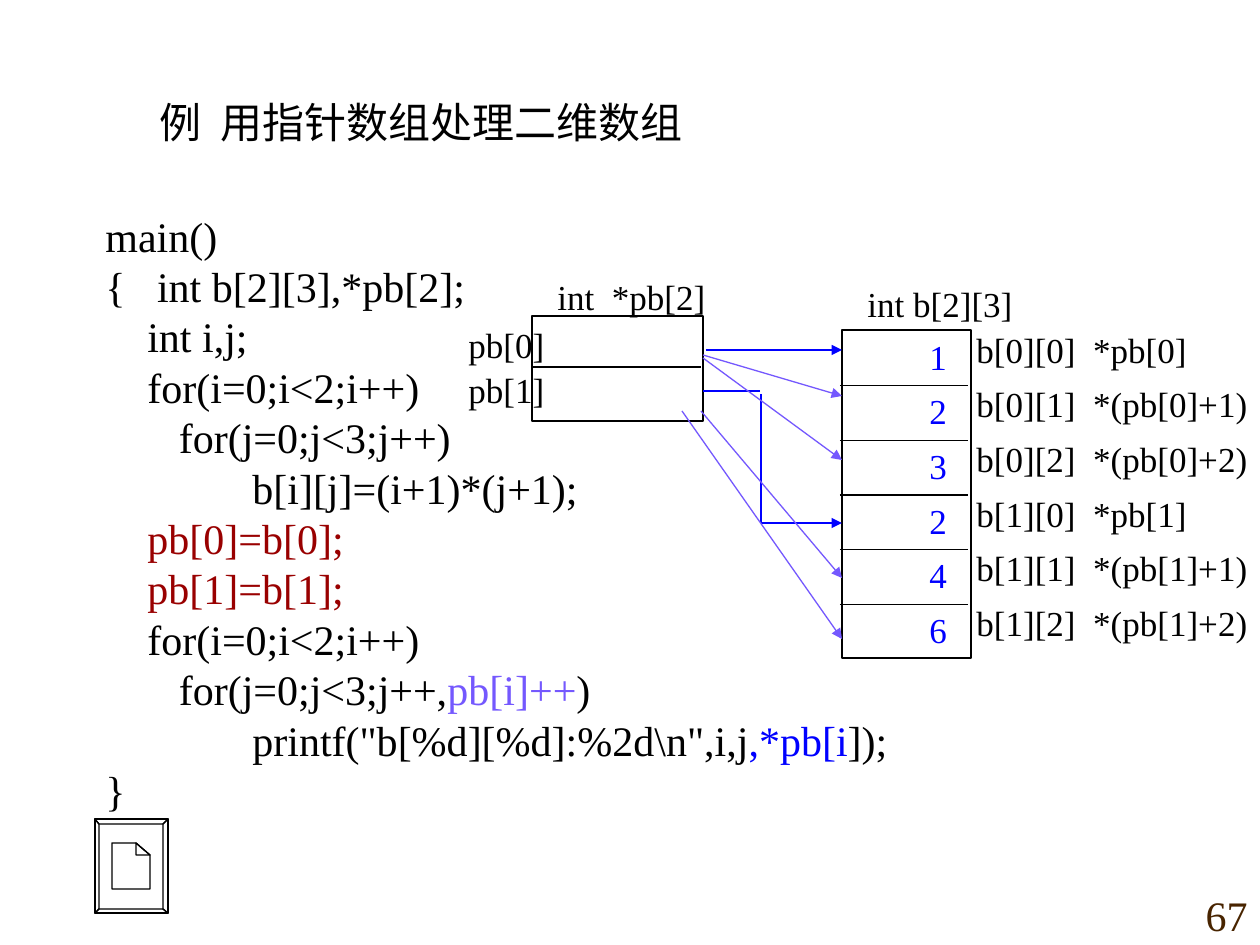
from lxml.etree import SubElement
from pptx import Presentation
from pptx.dml.color import RGBColor
from pptx.enum.shapes import MSO_CONNECTOR as Connector, MSO_SHAPE as Shape
from pptx.enum.text import MSO_ANCHOR as Anchor, PP_ALIGN as Align
from pptx.oxml.ns import qn
from pptx.util import Pt

BLACK = RGBColor(0, 0, 0)
WHITE = RGBColor(255, 255, 255)
RED = RGBColor(0x99, 0, 0)
BLUE = RGBColor(0, 0, 255)
VIOLET = RGBColor(0x74, 0x58, 0xFE)
BROWN = RGBColor(0x48, 0x24, 0)
SERIF = "Times New Roman"

# Content
TITLE = "例  用指针数组处理二维数组"
PAGE_NUMBER = "67"
CODE = [
    [("main()", BLACK)],
    [("{   int b[2][3],*pb[2];", BLACK)],
    [("    int i,j;", BLACK)],
    [("    for(i=0;i<2;i++)", BLACK)],
    [("       for(j=0;j<3;j++)", BLACK)],
    [("\t  b[i][j]=(i+1)*(j+1);", BLACK)],
    [("    pb[0]=b[0];", RED)],
    [("    pb[1]=b[1];", RED)],
    [("    for(i=0;i<2;i++)", BLACK)],
    [("       for(j=0;j<3;j++,", BLACK), ("pb[i]++", VIOLET), (")", BLACK)],
    [('\t  printf("b[%d][%d]:%2d\\n",i,j', BLACK), (",*pb[i", BLUE), ("]);", BLACK)],
    [("}", BLACK)],
]
# value, element label, label width
ELEMENTS = [
    ("1", "b[0][0]  *pb[0]", 236),
    ("2", "b[0][1]  *(pb[0]+1)", 296),
    ("3", "b[0][2]  *(pb[0]+2)", 296),
    ("2", "b[1][0]  *pb[1]", 236),
    ("4", "b[1][1]  *(pb[1]+1)", 296),
    ("6", "b[1][2]  *(pb[1]+2)", 296),
]
# text, left, top, width
CAPTIONS = [
    ("int  *pb[2]", 545, 269, 173),
    ("pb[0]", 456, 317, 101),
    ("pb[1]", 456, 362, 101),
    ("int b[2][3]", 855, 276, 170),
]
# start, end, colour, has arrowhead
POINTERS = [
    ((706, 350), (842, 350), BLUE, True),
    ((703, 391), (760, 391), BLUE, False),
    ((761, 394), (761, 523), BLUE, False),
    ((761, 523), (842, 523), BLUE, True),
    ((703, 355), (842, 396), VIOLET, True),
    ((703, 358), (842, 460), VIOLET, True),
    ((701, 411), (842, 578), VIOLET, True),
    ((682, 411), (842, 639), VIOLET, True),
]
POINTER_BOX = (532, 316, 171, 105)
POINTER_DIVIDER = 367
ARRAY_BOX = (842, 330, 129, 328)
LABEL_HEIGHT = 55

# Document button: outer and inner frame, then the page and its fold
OUTER = [(95, 819), (168, 819), (168, 913), (95, 913)]
INNER = [(99, 824), (163, 824), (163, 909), (99, 909)]
PAGE = [(112, 843), (136, 843), (150, 855), (150, 889), (112, 889)]
FOLD = [(136, 843), (150, 855), (136, 855)]


def px(length):
    return round(length * 914400 / 126)


prs = Presentation()
prs.slide_width, prs.slide_height = px(1260), px(945)
slide = prs.slides.add_slide(prs.slide_layouts[6])
shapes = slide.shapes


def add_text(lines, left, top, width, height, size=20, font=SERIF,
             anchor=Anchor.TOP, align=Align.LEFT, wrap=False):
    frame = shapes.add_textbox(*map(px, (left, top, width, height))).text_frame
    frame.word_wrap = wrap
    frame.vertical_anchor = anchor
    for number, runs in enumerate(lines):
        line = frame.add_paragraph() if number else frame.paragraphs[0]
        line.alignment = align
        tabs = SubElement(line._p.get_or_add_pPr(), qn("a:tabLst"))
        SubElement(tabs, qn("a:tab"), pos=str(px(126)), algn="l")
        line.font.size = Pt(size)
        line.font.name = font
        for text, color in runs:
            run = line.add_run()
            run.text = text
            run.font.color.rgb = color


def add_line(start, end, color=BLACK, arrow=False):
    line = shapes.add_connector(Connector.STRAIGHT, *map(px, (*start, *end)))
    line.line.color.rgb = color
    line.line.width = Pt(0.75)
    if arrow:
        SubElement(line.line._get_or_add_ln(), qn("a:tailEnd"), type="triangle")
    SubElement(line._element.spPr, qn("a:effectLst"))


def outline(shape):
    shape.shadow.inherit = False
    shape.line.color.rgb = BLACK
    shape.line.width = Pt(0.75)


def add_frame(box):
    frame = shapes.add_shape(Shape.RECTANGLE, *map(px, box))
    frame.fill.background()
    outline(frame)


# Title, code and page number
add_text([[(TITLE, BLACK)]], 147, 52, 1071, 101, 24, "Arial", Anchor.BOTTOM, wrap=True)
add_text(CODE, 93, 204, 860, 617, 24, anchor=Anchor.MIDDLE, wrap=True)
add_text([[(PAGE_NUMBER, BROWN)]], 1134, 883, 126, 63, 24,
         anchor=Anchor.BOTTOM, align=Align.RIGHT, wrap=True)

# Document button
bevels = [[OUTER[i], OUTER[(i + 1) % 4], INNER[(i + 1) % 4], INNER[i]] for i in range(4)]
builder = shapes.build_freeform(px(OUTER[0][0]), px(OUTER[0][1]))
for contour in [OUTER, *bevels, PAGE, FOLD]:
    points = [(px(x), px(y)) for x, y in contour]
    if contour is not OUTER:
        builder.move_to(*points[0])
    builder.add_line_segments(points[1:], close=True)
button = builder.convert_to_shape()
button.fill.solid()
button.fill.fore_color.rgb = WHITE
outline(button)

# Pointer array
add_frame(POINTER_BOX)
add_line((532, POINTER_DIVIDER), (701, POINTER_DIVIDER))
for text, left, top, width in CAPTIONS:
    add_text([[(text, BLACK)]], left, top, width, LABEL_HEIGHT)

# Two-dimensional array
add_frame(ARRAY_BOX)
array_left, array_top, array_width, array_height = ARRAY_BOX
pitch = array_height / len(ELEMENTS)
for row, (value, label, width) in enumerate(ELEMENTS):
    top = array_top + row * pitch
    if row:
        add_line((array_left - 2, top + 1), (array_left + array_width - 3, top + 1))
    add_text([[(value, BLUE)]], 917, top - 1, 43, LABEL_HEIGHT)
    add_text([[(label, BLACK)]], 964, top - 8, width, LABEL_HEIGHT)

# Pointers from one array to the other
for start, end, color, arrow in POINTERS:
    add_line(start, end, color, arrow)

prs.save("out.pptx")
